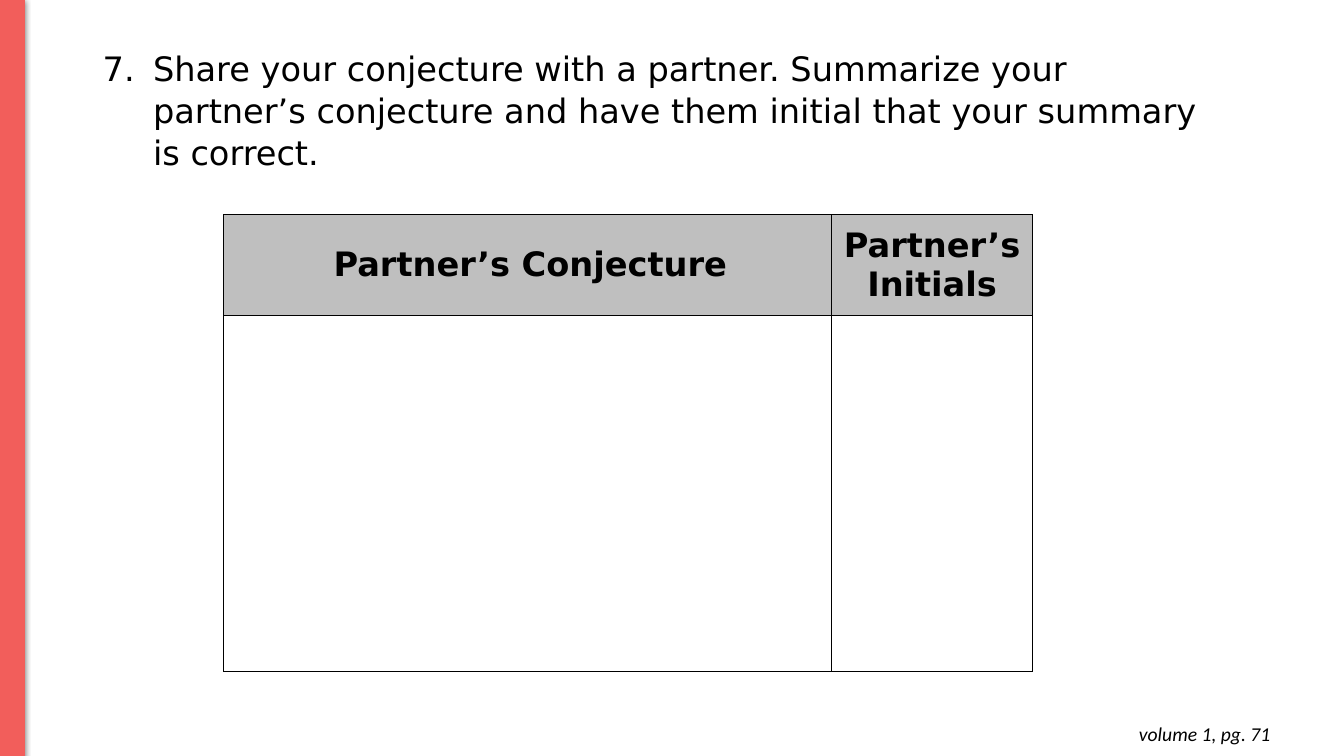
from dataclasses import dataclass
from lxml import etree
from pptx import Presentation, util as u
from pptx.dml.color import RGBColor
from pptx.enum import shapes, text
from pptx.oxml import parse_xml
from pptx.oxml.ns import nsdecls, qn

TASK = ("Share your conjecture with a partner. Summarize your partner’s "
        "conjecture and have them initial that your summary is correct.")
NUMBER = 7
HEADS = ["Partner’s Conjecture", "Partner’s Initials"]
PAGE = "volume 1, pg. 71"
WIDTHS = [6.03, 1.99]
HEIGHTS = [1, 3.53]


@dataclass(frozen=True)
class Theme:
    ink: str = "000000"
    accent: str = "F25E5B"
    head: str = "BFBFBF"
    body: str = "DejaVu Sans"
    foot: str = "Calibri"
    large: int = 24
    small: int = 14


THEME = Theme()


def color(code):
    return RGBColor.from_string(code)


def write(para, words, face, size, bold=False, italic=False):
    run = para.add_run()
    run.text = words
    font = run.font
    font.name, font.size = face, u.Pt(size)
    font.bold, font.italic = bold, italic
    font.color.rgb = color(THEME.ink)


def add_box(slide, left, top, width, height):
    box = slide.shapes.add_textbox(*map(u.Inches, (left, top, width, height)))
    box.text_frame.word_wrap = True
    box.text_frame.auto_size = text.MSO_AUTO_SIZE.SHAPE_TO_FIT_TEXT
    return box.text_frame


def add_page(slide):
    frame = add_box(slide, 9.82, 7.06, 2.88, 0.44)
    frame.margin_top = frame.margin_bottom = u.Inches(0.1)
    para = frame.paragraphs[0]
    para.alignment = text.PP_ALIGN.RIGHT
    write(para, PAGE, THEME.foot, THEME.small, italic=True)


def add_task(slide):
    para = add_box(slide, 0.92, 0.41, 11.27, 1.31).paragraphs[0]
    para.line_spacing = 1.04
    props = para._p.get_or_add_pPr()
    props.set("marL", str(u.Inches(0.5)))
    props.set("indent", str(u.Inches(-0.5)))
    tint = etree.SubElement(props, qn("a:buClr"))
    etree.SubElement(tint, qn("a:srgbClr"), val=THEME.ink)
    etree.SubElement(props, qn("a:buFont"), typeface=THEME.body)
    etree.SubElement(props, qn("a:buAutoNum"), type="arabicPeriod",
                     startAt=str(NUMBER))
    write(para, TASK, THEME.body, THEME.large)


def add_stripe(slide):
    stripe = slide.shapes.add_shape(
        shapes.MSO_SHAPE.RECTANGLE,
        *map(u.Inches, (0, -0.01, 0.24, 7.51)))
    stripe.fill.solid()
    stripe.fill.fore_color.rgb = color(THEME.accent)
    stripe.line.color.rgb = color(THEME.accent)
    stripe.line.width = u.Pt(0.75)
    stripe._element.spPr.append(parse_xml(
        f'<a:effectLst {nsdecls("a")}><a:outerShdw blurRad="{u.Pt(4.5)}" '
        f'dist="{u.Pt(1.5)}" dir="5400000" rotWithShape="0">'
        f'<a:srgbClr val="{THEME.ink}"><a:alpha val="50000"/></a:srgbClr>'
        '</a:outerShdw></a:effectLst>'))


def add_edges(cell):
    """Draw the four borders; they must precede the cell's fill."""
    props = cell._tc.get_or_add_tcPr()
    for spot, side in enumerate("LRTB"):
        props.insert(spot, parse_xml(
            f'<a:ln{side} {nsdecls("a")} w="{u.Pt(1)}"><a:solidFill>'
            f'<a:srgbClr val="{THEME.ink}"/></a:solidFill></a:ln{side}>'))


def add_grid(slide):
    area = (2.22, 2.13, sum(WIDTHS), sum(HEIGHTS))
    grid = slide.shapes.add_table(
        len(HEIGHTS), len(WIDTHS), *map(u.Inches, area)).table
    grid.horz_banding = False
    for col, width in zip(grid.columns, WIDTHS):
        col.width = u.Inches(width)
    for row, height in zip(grid.rows, HEIGHTS):
        row.height = u.Inches(height)
    for cell in grid.iter_cells():
        cell.fill.background()
        add_edges(cell)
    for col, words in enumerate(HEADS):
        cell = grid.cell(0, col)
        cell.fill.solid()
        cell.fill.fore_color.rgb = color(THEME.head)
        cell.vertical_anchor = text.MSO_ANCHOR.MIDDLE
        cell.margin_left = cell.margin_right = u.Inches(0.07)
        cell.margin_top = cell.margin_bottom = 0
        para = cell.text_frame.paragraphs[0]
        para.alignment = text.PP_ALIGN.CENTER
        if col == 0:
            para._p.get_or_add_pPr().set("marL", str(u.Inches(0.05)))
        write(para, words, THEME.body, THEME.large, bold=True)


def main():
    deck = Presentation()
    deck.slide_width, deck.slide_height = u.Inches(13.33), u.Inches(7.5)
    slide = deck.slides.add_slide(deck.slide_layouts[6])
    add_page(slide)
    add_task(slide)
    add_stripe(slide)
    add_grid(slide)
    deck.save("out.pptx")


if __name__ == "__main__":
    main()
